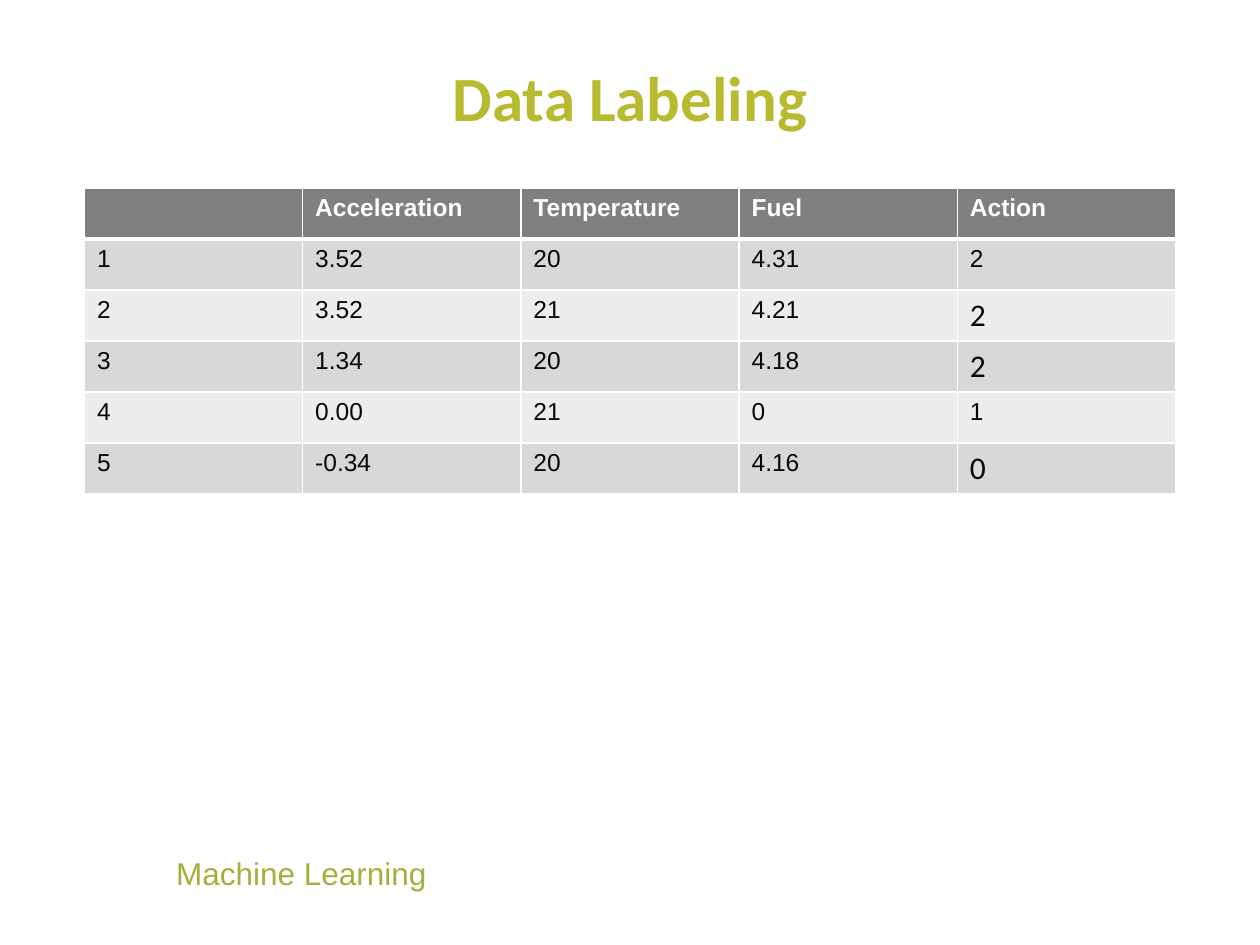
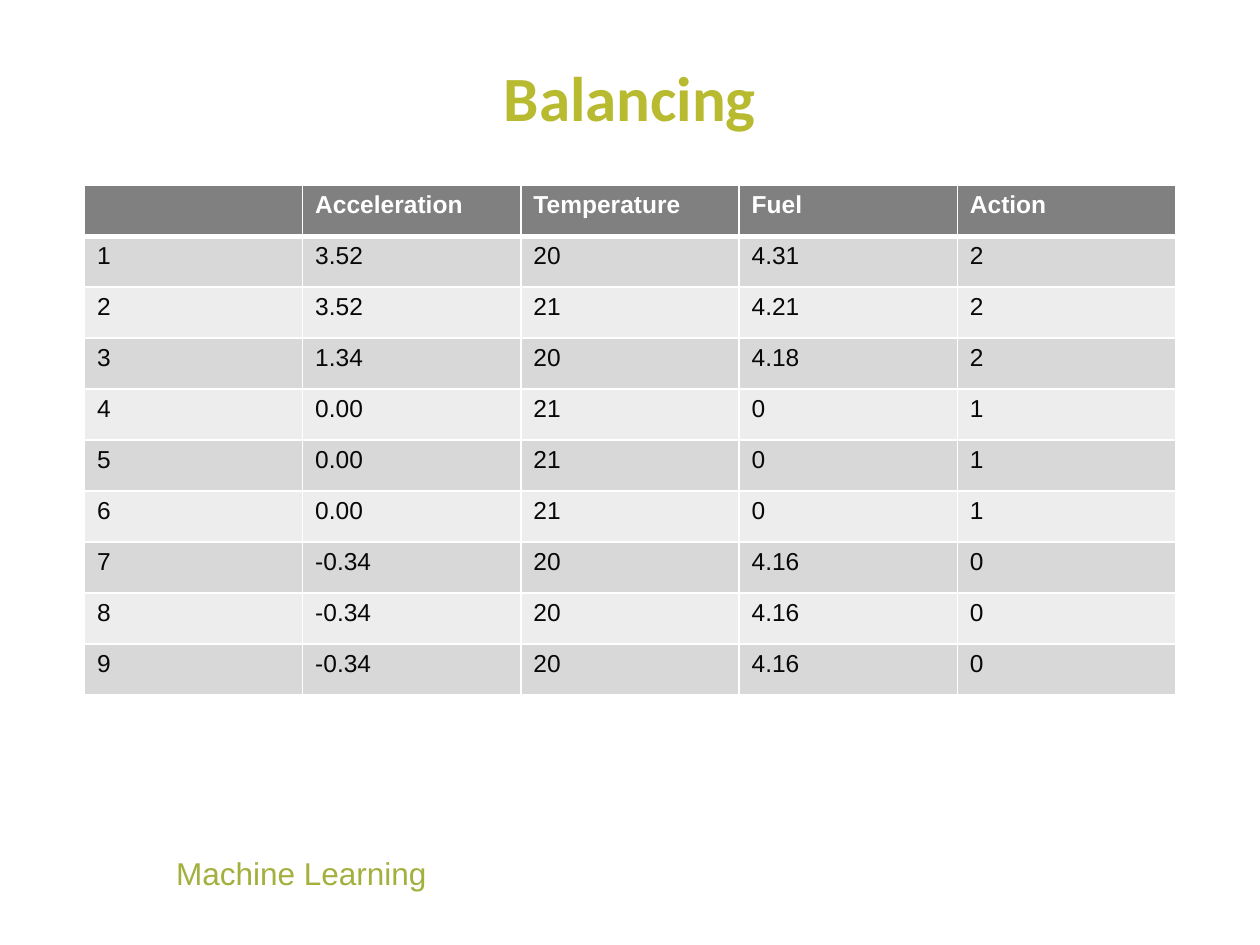
import pptx
import pptx.dml.color
import pptx.enum.text
import pptx.oxml
import pptx.oxml.ns
import pptx.util

WIDTH = pptx.util.Inches(10)
HEIGHT = pptx.util.Inches(7.5)
COLORS = {
    "title": "B8BA30",
    "footer": "A3B03D",
    "header": "808080",
    "odd": "D8D8D8",
    "even": "EDEDED",
    "ink": "080808",
    "white": "FFFFFF",
}
MARGIN = 0.067
CONTENT_WIDTH = 1 - 2 * MARGIN
ROW_SHARE = 0.054
HEADINGS = ["", "Acceleration", "Temperature", "Fuel", "Action"]
MOVING = [
    ["3.52", "20", "4.31", "2"],
    ["3.52", "21", "4.21", "2"],
    ["1.34", "20", "4.18", "2"],
]
IDLE = ["0.00", "21", "0", "1"]
BRAKING = ["-0.34", "20", "4.16", "0"]


def color(name):
    """Return the palette colour with this name."""
    return pptx.dml.color.RGBColor.from_string(COLORS[name])


def write(frame, text, size=14, font="Arial", ink="ink", bold=False, align="LEFT"):
    """Write one formatted paragraph into a text frame."""
    para = frame.paragraphs[0]
    para.alignment = getattr(pptx.enum.text.PP_ALIGN, align)
    para.font.size = pptx.util.Pt(size)
    if text:
        span = para.add_run()
        span.text = text
        span.font.size = pptx.util.Pt(size)
        span.font.name = font
        span.font.bold = bold
        span.font.color.rgb = color(ink)


def add_box(page, left, top, width, height):
    """Add a text box placed by shares of the slide and return its frame."""
    box = page.shapes.add_textbox(
        int(left * WIDTH), int(top * HEIGHT), int(width * WIDTH), int(height * HEIGHT)
    )
    return box.text_frame


def add_title(page, text):
    """Add the centred slide title."""
    frame = add_box(page, MARGIN, 0.052, CONTENT_WIDTH, 0.1)
    frame.word_wrap = True
    frame.vertical_anchor = pptx.enum.text.MSO_ANCHOR.MIDDLE
    frame.margin_left = frame.margin_right = frame.margin_top = frame.margin_bottom = 0
    write(frame, text, size=36, font="Calibri", ink="title", bold=True, align="CENTER")


def add_footer(page):
    """Add the course name at the foot of the slide."""
    frame = add_box(page, 0.13, 0.897, 0.221, 0.054)
    frame.word_wrap = False
    frame.auto_size = pptx.enum.text.MSO_AUTO_SIZE.SHAPE_TO_FIT_TEXT
    write(frame, "Machine Learning", size=18, ink="footer")


def set_borders(cell, top, bottom):
    """Draw white cell borders with the given top and bottom widths in points."""
    properties = cell._tc.get_or_add_tcPr()
    for side, points in (("L", 1), ("R", 1), ("T", top), ("B", bottom)):
        properties.append(pptx.oxml.parse_xml(
            f'<a:ln{side} {pptx.oxml.ns.nsdecls("a")} w="{pptx.util.Pt(points)}">'
            f'<a:solidFill><a:srgbClr val="{COLORS["white"]}"/></a:solidFill></a:ln{side}>'
        ))


def add_data_table(page, top, readings, large_rows):
    """Add the banded table of numbered readings, with larger actions in large_rows."""
    rows = [HEADINGS] + [[str(n), *reading] for n, reading in enumerate(readings, 1)]
    table = page.shapes.add_table(
        len(rows), len(HEADINGS), int(MARGIN * WIDTH), int(top * HEIGHT),
        int(CONTENT_WIDTH * WIDTH), int(len(rows) * ROW_SHARE * HEIGHT),
    ).table
    for row, values in enumerate(rows):
        table.rows[row].height = int(ROW_SHARE * HEIGHT)
        band = "header" if row == 0 else "odd" if row % 2 else "even"
        for column, value in enumerate(values):
            cell = table.cell(row, column)
            set_borders(cell, top=3 if row == 1 else 1, bottom=3 if row == 0 else 1)
            cell.fill.solid()
            cell.fill.fore_color.rgb = color(band)
            if row == 0:
                style = {"ink": "white", "bold": True}
            elif row in large_rows and column == len(HEADINGS) - 1:
                style = {"size": 18, "font": "Calibri"}
            else:
                style = {}
            write(cell.text_frame, value, **style)


def add_table_slide(deck, title, top, readings, large_rows=()):
    """Add a slide with title, table of readings and footer."""
    page = deck.slides.add_slide(deck.slide_layouts[6])
    page.background.fill.solid()
    page.background.fill.fore_color.rgb = color("white")
    add_footer(page)
    add_title(page, title)
    add_data_table(page, top, readings, large_rows)


def main():
    """Build and save the deck."""
    deck = pptx.Presentation()
    deck.slide_width, deck.slide_height = WIDTH, HEIGHT
    add_table_slide(
        deck, "Data Labeling", 0.199, MOVING + [IDLE, BRAKING], large_rows=(2, 3, 5)
    )
    add_table_slide(deck, "Balancing", 0.196, MOVING + [IDLE] * 3 + [BRAKING] * 3)
    deck.save("out.pptx")


if __name__ == "__main__":
    main()
